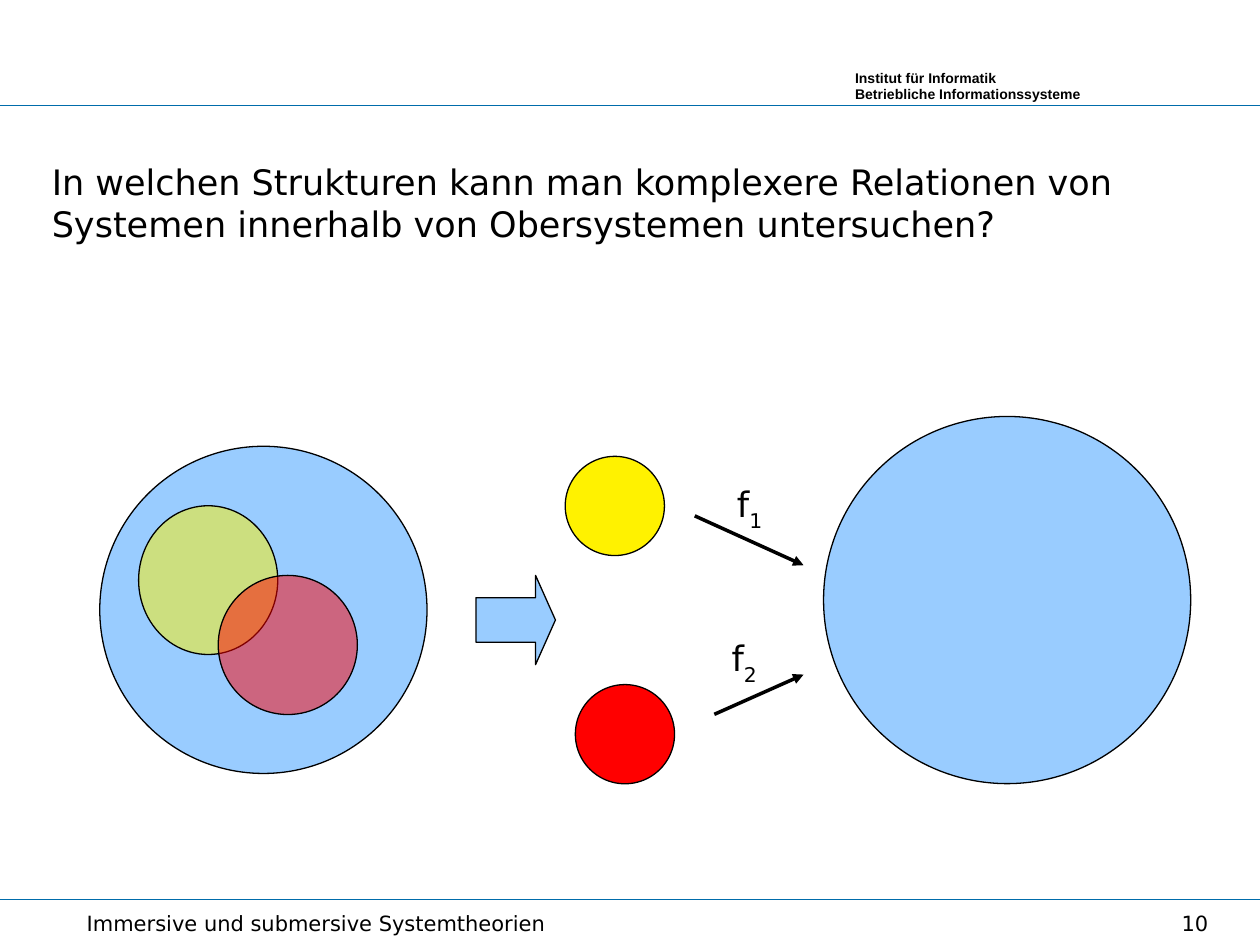
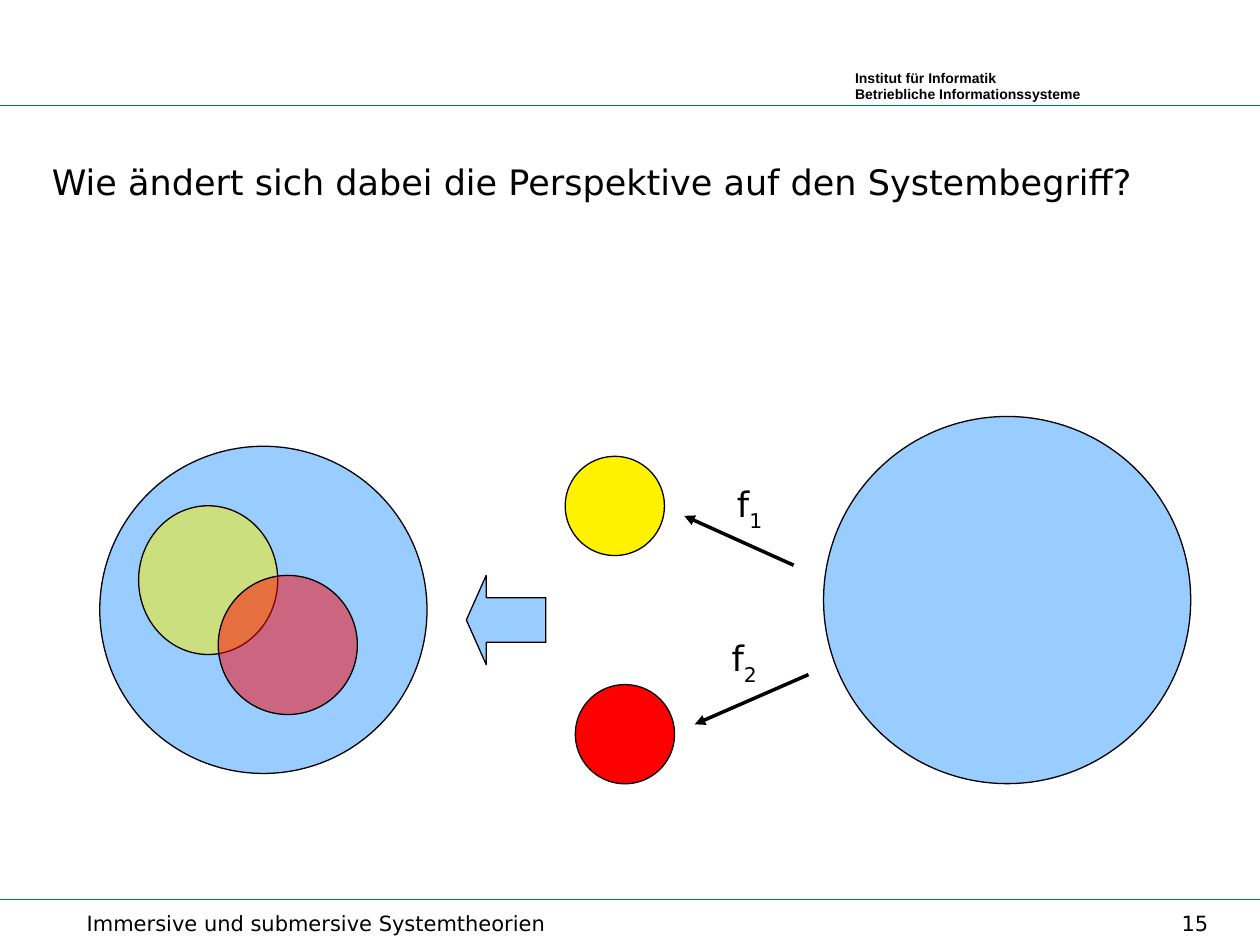
from pptx import Presentation
from pptx.dml.color import RGBColor
from pptx.enum.shapes import MSO_CONNECTOR as Connector, MSO_SHAPE as Preset
from pptx.enum.text import PP_ALIGN as Align
from pptx.oxml.ns import qn
from pptx.util import Pt
from lxml.etree import SubElement

BLACK = RGBColor(0x00, 0x00, 0x00)
BAND_BLUE = RGBColor(0x00, 0x6C, 0xAB)
SYSTEM_BLUE = RGBColor(0x99, 0xCC, 0xFF)
YELLOW = RGBColor(0xFF, 0xF2, 0x00)
RED = RGBColor(0xFF, 0x00, 0x00)

BODY_FONT = "DejaVu Sans"
HEADER_FONT = "Arial"
SLIDE_WIDTH, SLIDE_HEIGHT = 720, 540
HEADER_LINE_Y, FOOTER_LINE_Y = 60.5, 514
FOOTER_TEXT_Y, FOOTER_HEIGHT = 516.5, 23.5
HEADER = "Institut für Informatik\vBetriebliche Informationssysteme"
FOOTER = "Immersive und submersive Systemtheorien"


def add_text(slide, text, left, top, width, height, size=20,
             font=BODY_FONT, bold=False, align=Align.LEFT):
    box = slide.shapes.add_textbox(Pt(left), Pt(top), Pt(width), Pt(height))
    box.text_frame.word_wrap = True
    box.text_frame.text = text
    para = box.text_frame.paragraphs[0]
    para.alignment = align
    for span in para.runs:
        format_span(span, size, font, bold)
    return para


def format_span(span, size, font=BODY_FONT, bold=False):
    span.font.size = Pt(size)
    span.font.name = font
    span.font.bold = bold
    span.font.color.rgb = BLACK


def add_function_label(slide, index, left, top):
    para = add_text(slide, "f", left, top, 51, 36)
    span = para.add_run()
    span.text = str(index)
    format_span(span, 20)
    span.font._element.set("baseline", "-33000")


def add_filled(slide, preset, left, top, width, height, color, opacity=100):
    shape = slide.shapes.add_shape(preset, Pt(left), Pt(top), Pt(width), Pt(height))
    shape.shadow.inherit = False
    shape.fill.solid()
    shape.fill.fore_color.rgb = color
    shape.line.color.rgb = BLACK
    shape.line.width = Pt(0)
    if opacity < 100:
        color_node = shape._element.spPr.find(qn("a:solidFill"))[0]
        SubElement(color_node, qn("a:alpha"), val=str(opacity * 1000))
    return shape


def add_line(slide, start, end, color=BLACK, width=0, arrow=False):
    points = [Pt(value) for value in (*start, *end)]
    line = slide.shapes.add_connector(Connector.STRAIGHT, *points)
    line.line.color.rgb = color
    line.line.width = Pt(width)
    if arrow:
        SubElement(line.line._get_or_add_ln(), qn("a:tailEnd"), type="triangle")
    SubElement(line._element.spPr, qn("a:effectLst"))


def add_frame(slide, title, number):
    for y in (FOOTER_LINE_Y, HEADER_LINE_Y):
        add_line(slide, (0, y), (SLIDE_WIDTH, y), BAND_BLUE, 0.51)
    add_text(slide, HEADER, 481.5, 36, 189.5, 26.5, 8, HEADER_FONT, True)
    add_text(slide, title, 22.5, 88, 680.5, 133)
    add_text(slide, FOOTER, 42.5, FOOTER_TEXT_Y, 402, FOOTER_HEIGHT, 12)
    add_text(slide, str(number), 643.5, FOOTER_TEXT_Y, 54, FOOTER_HEIGHT, 12,
             align=Align.RIGHT)


def add_systems(slide):
    circles = [
        (57, 255, 187, 187, SYSTEM_BLUE, 100),
        (79.2, 289, 79.5, 85, YELLOW, 50),
        (124.7, 328.8, 79.5, 79.5, RED, 50),
        (470.6, 238, 209.8, 209.8, SYSTEM_BLUE, 100),
        (323, 260.8, 56.7, 56.7, YELLOW, 100),
        (328.8, 391.2, 56.7, 56.7, RED, 100),
    ]
    for circle in circles:
        add_filled(slide, Preset.OVAL, *circle)
    add_function_label(slide, 1, 414, 272)
    add_function_label(slide, 2, 411, 360)


def add_block_arrow(slide, preset, left):
    arrow = add_filled(slide, preset, left, 328.8, 45.4, 51, SYSTEM_BLUE)
    arrow.adjustments[0] = 0.5
    arrow.adjustments[1] = 0.25


def add_relation_slide(deck, title, number, block_arrow, mappings):
    page = deck.slides.add_slide(deck.slide_layouts[6])
    add_frame(page, title, number)
    add_systems(page)
    add_block_arrow(page, *block_arrow)
    for start, end in mappings:
        add_line(page, start, end, arrow=True)


def main():
    deck = Presentation()
    deck.slide_width, deck.slide_height = Pt(SLIDE_WIDTH), Pt(SLIDE_HEIGHT)
    add_relation_slide(
        deck,
        "In welchen Strukturen kann man komplexere Relationen von "
        "Systemen innerhalb von Obersystemen untersuchen?",
        10,
        (Preset.RIGHT_ARROW, 272),
        [((397, 294.8), (459.2, 323)), ((408.2, 408.2), (459.2, 385.5))],
    )
    add_relation_slide(
        deck,
        "Wie ändert sich dabei die Perspektive auf den Systembegriff?",
        15,
        (Preset.LEFT_ARROW, 266.5),
        [((453.5, 323), (391, 294.8)), ((462, 385.5), (397, 413.9))],
    )
    deck.save("out.pptx")


main()
